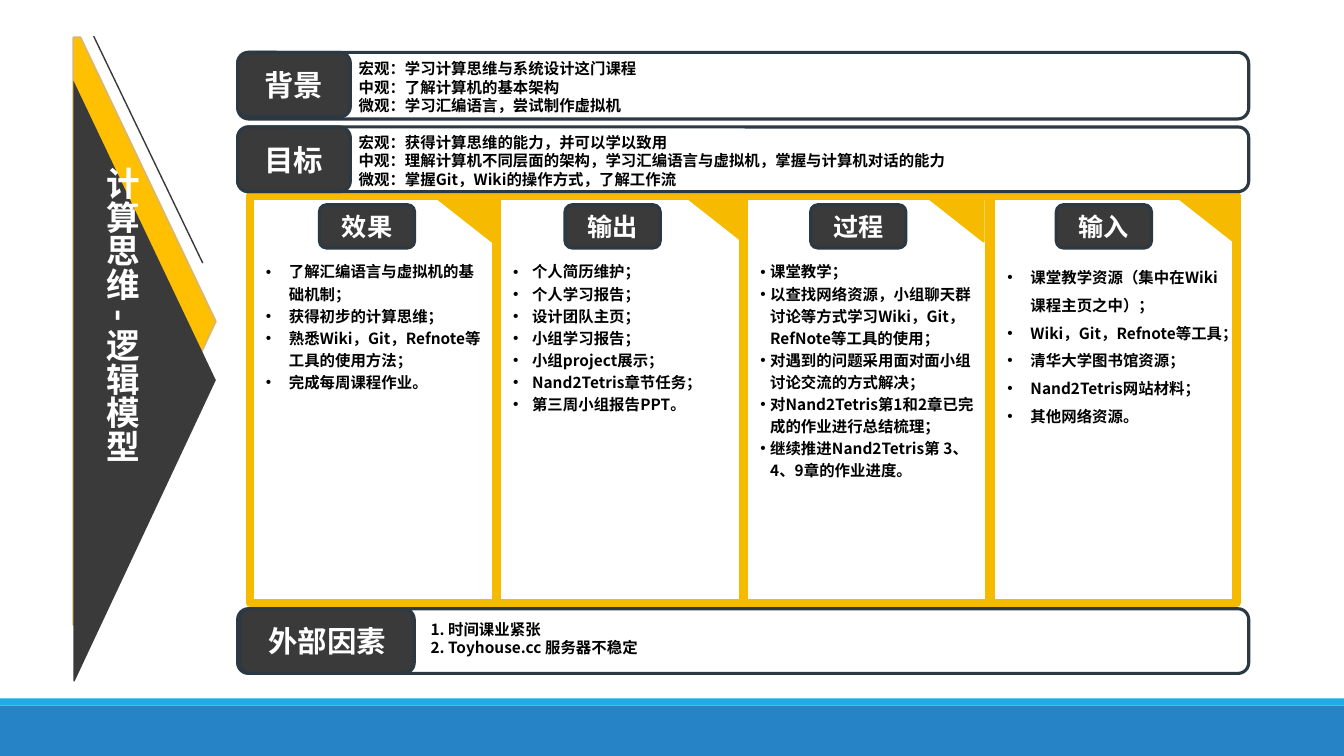
from dataclasses import dataclass

from lxml import etree
from pptx import Presentation
from pptx.dml.color import RGBColor
from pptx.enum import shapes, text
from pptx.oxml import ns
from pptx.util import Cm, Pt

FONT = "Noto Sans CJK SC"
BLUE = RGBColor(0x26, 0x83, 0xC6)
CYAN = RGBColor(0x1C, 0xAD, 0xE4)
GOLD = RGBColor(0xF6, 0xBB, 0x00)
AMBER = RGBColor(0xFF, 0xC0, 0x01)
TAN = RGBColor(0xDB, 0xB7, 0x6C)
CHARCOAL = RGBColor(0x3A, 0x3A, 0x3A)
NAVY = RGBColor(0x2C, 0x39, 0x43)
WHITE = RGBColor(0xFF, 0xFF, 0xFF)
BLACK = RGBColor(0x00, 0x00, 0x00)

RECT = shapes.MSO_SHAPE.RECTANGLE
ROUND = shapes.MSO_SHAPE.ROUNDED_RECTANGLE
TRIANGLE = shapes.MSO_SHAPE.RIGHT_TRIANGLE


@dataclass
class Band:
    title: str
    top: float
    height: float
    tab_left: float
    tab_width: float
    note_left: float
    note_top: float
    note_width: float
    lines: list[str]


@dataclass
class Column:
    title: str
    corner_left: float
    list_height: float
    indent: float
    leading: float
    items: list[str]


BANDS = [
    Band("背景", 1.32, 1.68, 5.99, 2.84, 8.79, 1.37, 23.24, [
        "宏观：学习计算思维与系统设计这门课程",
        "中观：了解计算机的基本架构",
        "微观：学习汇编语言，尝试制作虚拟机"]),
    Band("目标", 3.2, 1.63, 5.99, 2.84, 8.79, 3.23, 22.07, [
        "宏观：获得计算思维的能力，并可以学以致用",
        "中观：理解计算机不同层面的架构，学习汇编语言与虚拟机，掌握与计算机对话的能力",
        "微观：掌握Git，Wiki的操作方式，了解工作流"]),
    Band("外部因素", 15.34, 1.63, 6.05, 4.39, 10.6, 15.49, 17.12, [
        "1. 时间课业紧张",
        "2. Toyhouse.cc 服务器不稳定"]),
]

COLUMNS = [
    Column("效果", 10.95, 3.63, 0.58, 15.8, [
        "了解汇编语言与虚拟机的基础机制；",
        "获得初步的计算思维；",
        "熟悉Wiki，Git，Refnote等工具的使用方法；",
        "完成每周课程作业。"]),
    Column("输出", 17.27, 4.22, 0.48, 15.8, [
        "个人简历维护；",
        "个人学习报告；",
        "设计团队主页；",
        "小组学习报告；",
        "小组project展示；",
        "Nand2Tetris章节任务；",
        "第三周小组报告PPT。"]),
    Column("过程", 23.34, 5.89, 0.25, 15.8, [
        "课堂教学；",
        "以查找网络资源，小组聊天群讨论等方式学习Wiki，Git，RefNote等工具的使用；",
        "对遇到的问题采用面对面小组讨论交流的方式解决；",
        "对Nand2Tetris第1和2章已完成的作业进行总结梳理；",
        "继续推进Nand2Tetris第 3、4、9章的作业进度。"]),
    Column("输入", 29.64, 5.89, 0.58, 19.8, [
        "课堂教学资源（集中在Wiki课程主页之中）；",
        "Wiki，Git，Refnote等工具；",
        "清华大学图书馆资源；",
        "Nand2Tetris网站材料；",
        "其他网络资源。"]),
]


def paint(shape, fill: RGBColor | None, line: RGBColor | None, width: float) -> None:
    shape.shadow.inherit = False
    if fill is None:
        shape.fill.background()
    else:
        shape.fill.solid()
        shape.fill.fore_color.rgb = fill
    if line is None:
        shape.line.fill.background()
    else:
        shape.line.color.rgb = line
        shape.line.width = Pt(width)


def add_block(page, kind, left: float, top: float, width: float, height: float,
              fill: RGBColor | None = None, line: RGBColor | None = None,
              weight: float = 1):
    block = page.shapes.add_shape(kind, Cm(left), Cm(top), Cm(width), Cm(height))
    paint(block, fill, line, weight)
    return block


def add_span(para, words: str, size: float, color: RGBColor) -> None:
    span = para.add_run()
    span.text = words
    span.font.name = FONT
    span.font.size = Pt(size)
    span.font.bold = True
    span.font.color.rgb = color
    east_asian = etree.SubElement(span.font._element, ns.qn("a:ea"))
    east_asian.set("typeface", FONT)


def add_label(page, words: str, size: float, left: float, top: float,
              width: float, height: float) -> None:
    label = add_block(page, ROUND, left, top, width, height, CHARCOAL, NAVY, 2.25)
    frame = label.text_frame
    frame.margin_left = frame.margin_right = 0
    frame.margin_top = frame.margin_bottom = 0
    frame.vertical_anchor = text.MSO_ANCHOR.MIDDLE
    para = frame.paragraphs[0]
    para.alignment = text.PP_ALIGN.CENTER
    add_span(para, words, size, WHITE)


def add_lines(page, lines: list[str], left: float, top: float, width: float,
              height: float, leading: float, indent: float = 0) -> None:
    box = page.shapes.add_textbox(Cm(left), Cm(top), Cm(width), Cm(height))
    frame = box.text_frame
    frame.word_wrap = True
    for index, words in enumerate(lines):
        para = frame.add_paragraph() if index else frame.paragraphs[0]
        para.line_spacing = Pt(leading)
        if indent:
            properties = para._p.get_or_add_pPr()
            properties.set("marL", str(Cm(indent)))
            properties.set("indent", str(-Cm(indent)))
            etree.SubElement(properties, ns.qn("a:buFont")).set("typeface", "Arial")
            etree.SubElement(properties, ns.qn("a:buChar")).set("char", "•")
        add_span(para, words, 11, BLACK)


def add_outline(page, points: list[tuple[float, float]], fill: RGBColor,
                line: RGBColor | None = None) -> None:
    corners = [(Cm(x), Cm(y)) for x, y in points]
    builder = page.shapes.build_freeform(*corners[0])
    builder.add_line_segments(corners[1:], close=True)
    paint(builder.convert_to_shape(), fill, line, 1.25)


def add_arrow_title(page) -> None:
    add_outline(page, [(1.85, 0.94), (2.03, 0.94), (5.44, 8.1), (1.85, 15.75)], AMBER, TAN)
    add_outline(page, [(1.85, 2.03), (5.44, 9.58), (1.88, 17.17), (1.85, 17.17)], CHARCOAL)
    edge = page.shapes.add_connector(
        shapes.MSO_CONNECTOR.STRAIGHT, Cm(5.11), Cm(6.63), Cm(2.36), Cm(0.91))
    edge.line.color.rgb = CHARCOAL
    edge.line.width = Pt(1)
    etree.SubElement(edge._element.spPr, ns.qn("a:effectLst"))
    box = page.shapes.add_textbox(Cm(1.88), Cm(3.96), Cm(1.83), Cm(11.53))
    frame = box.text_frame
    frame.word_wrap = True
    frame.margin_left, frame.margin_right = Cm(0.56), 0
    frame.margin_top = Cm(0.25)
    frame.vertical_anchor = text.MSO_ANCHOR.MIDDLE
    frame._txBody.bodyPr.set("vert", "eaVert")
    add_span(frame.paragraphs[0], "计算思维 - 逻辑模型", 24, WHITE)


def main() -> None:
    deck = Presentation()
    deck.slide_width, deck.slide_height = Cm(33.87), Cm(19.05)
    page = deck.slides.add_slide(deck.slide_layouts[6])
    add_block(page, RECT, 0, 17.78, 33.87, 1.27, BLUE)
    add_block(page, RECT, 0, 17.6, 33.87, 0.18, CYAN)

    for index, column in enumerate(COLUMNS):
        add_block(page, RECT, 6.3 + 6.22 * index, 4.93, 6.2, 10.26, None, GOLD, 6)
    for column in COLUMNS:
        corner = add_block(page, TRIANGLE, column.corner_left, 4.95, 1.45, 1.14,
                           GOLD, GOLD, 1.25)
        corner.rotation = 180

    for band in BANDS:
        add_block(page, ROUND, 5.99, band.top, 25.48, band.height, None, NAVY, 2.25)
        add_label(page, band.title, 21, band.tab_left, band.top, band.tab_width, 1.63)
        add_lines(page, band.lines, band.note_left, band.note_top, band.note_width,
                  1.68, 13.2)

    add_arrow_title(page)

    for index, column in enumerate(COLUMNS):
        add_label(page, column.title, 18, 8.05 + 6.19 * index, 5.16, 2.4, 1.09)
        add_lines(page, column.items, 6.45 + 6.23 * index, 6.4, 5.92,
                  column.list_height, column.leading, column.indent)

    deck.save("out.pptx")


if __name__ == "__main__":
    main()
